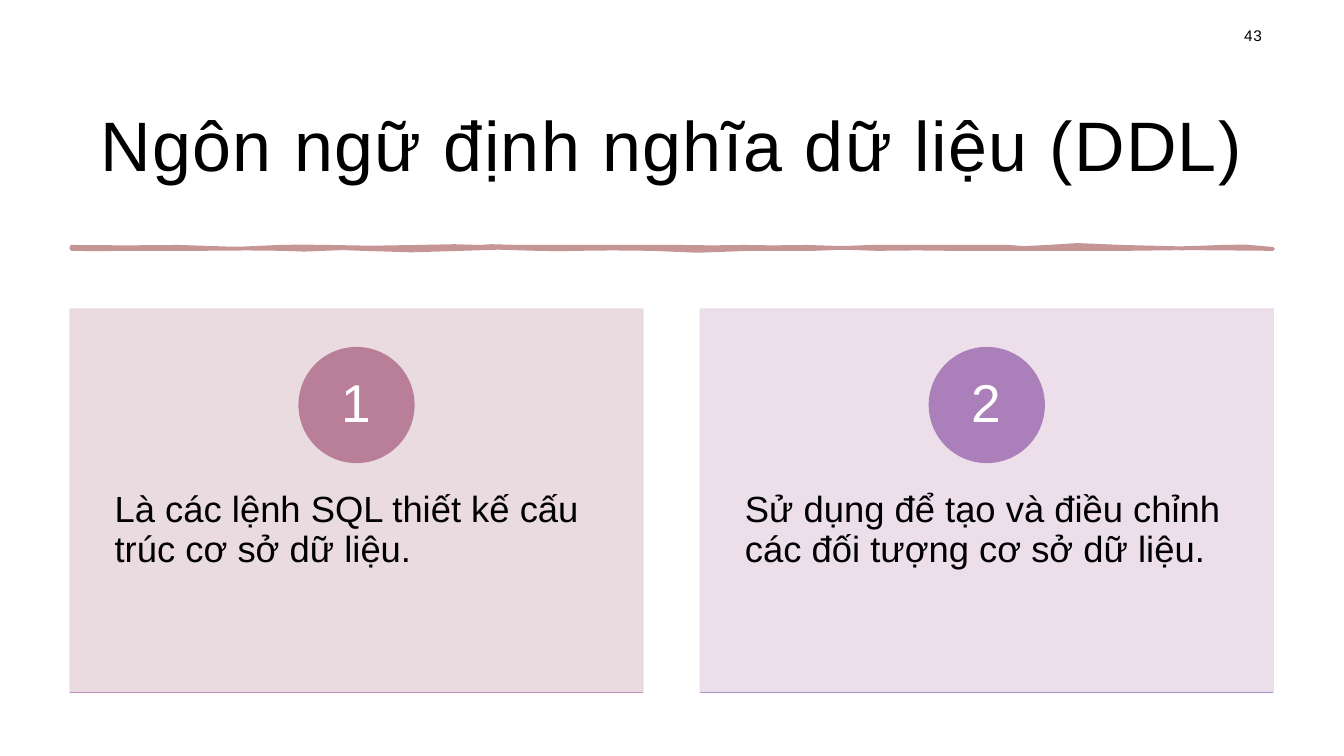
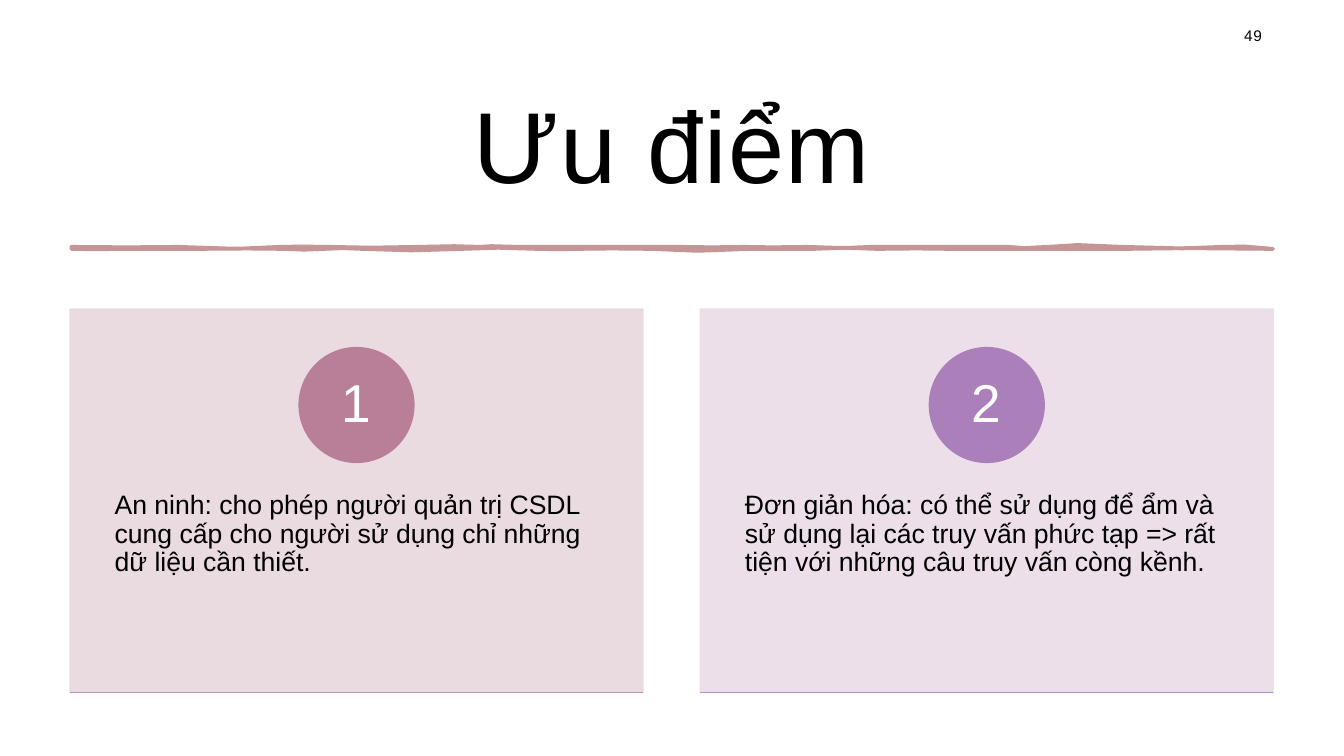
"""Build two numbered-card slides on the SQL definition language and its advantages."""
import pptx
import pptx.dml.color
import pptx.enum.shapes
import pptx.enum.text
import pptx.oxml.ns
import pptx.util
from lxml import etree

Pt = pptx.util.Pt
ALIGN = pptx.enum.text.PP_ALIGN
ANCHOR = pptx.enum.text.MSO_ANCHOR
SHAPE = pptx.enum.shapes.MSO_SHAPE
FONT = "Arial"
COLORS = {
    "backdrop": "FFFFFF", "text": "000000", "number": "FFFFFF", "stroke": "C69697",
    "card1": "E7D8DD", "badge1": "BA7F98", "rule1": "C493BD",
    "card2": "EADCE8", "badge2": "AA7FBA", "rule2": "A696C6",
}
SLIDE_BOX = (0, 0, 960, 540)
TITLE_BOX = (50, 49.7, 860, 103.7)
NUMBER_BOX = (766, 10.8, 144, 28.8)
STROKE_BOX = (51.12, 176.4, 858.24, 1.44)
CARD_BOX = (50, 220.8, 409.3, 273.8)
CARD_STEP = 450.2
BADGE_SIZE = 82
STROKE_UNIT = 0.72
STROKE_STEPS = 2
LOWER_EDGE = [
    (13, 1, 36, 0, 51), (65, 0, 95, 0, 125), (155, 1, 193, -2, 211),
    (230, 2, 232, 0, 250), (269, 0, 270, -2, 289), (308, 2, 365, 2, 387),
    (410, -2, 436, -1, 462), (487, 2, 488, -1, 501), (513, 2, 560, -3, 575),
    (590, 4, 651, 1, 673), (696, -1, 715, 1, 736), (757, -1, 775, -2, 799),
    (822, 2, 857, -3, 873), (889, 4, 929, -4, 960), (990, 4, 1007, -4, 1046),
    (1085, 4, 1119, -6, 1192),
]
UPPER_EDGE = [
    (1167, 0, 1160, -1, 1141), (1122, 1, 1089, 3, 1043), (997, -3, 994, -2, 968),
    (943, 2, 944, 1, 930), (915, 0, 889, 0, 855), (821, 1, 813, -1, 793),
    (773, 1, 760, 2, 730), (700, -2, 688, 3, 667), (647, -2, 624, 3, 605),
    (586, -3, 553, 3, 518), (484, -3, 477, 3, 444), (411, -3, 417, 1, 405),
    (393, 0, 370, -2, 343), (315, 2, 276, 0, 256), (237, 0, 217, -1, 206),
    (194, 2, 138, 3, 107), (76, -3, 34, 4, 0),
]
SLIDES = [
    ("Ngôn ngữ định nghĩa dữ liệu (DDL)", 50, "43", 26, [
        "Là các lệnh SQL thiết kế cấu trúc cơ sở dữ liệu.",
        "Sử dụng để tạo và điều chỉnh các đối tượng cơ sở dữ liệu.",
    ]),
    ("Ưu điểm", 72, "49", 19, [
        "An ninh: cho phép người quản trị CSDL cung cấp cho người sử dụng "
        "chỉ những dữ liệu cần thiết.",
        "Đơn giản hóa: có thể sử dụng để ẩm và sử dụng lại các truy vấn "
        "phức tạp => rất tiện với những câu truy vấn còng kềnh.",
    ]),
]


def rgb(name):
    """Return the named colour."""
    return pptx.dml.color.RGBColor.from_string(COLORS[name])


def in_points(box):
    """Turn a box of point values into lengths."""
    return [Pt(value) for value in box]


def paint(shape, color, weight=0):
    """Give a shape one colour for fill and any line, without a shadow."""
    shape.shadow.inherit = False
    shape.fill.solid()
    shape.fill.fore_color.rgb = rgb(color)
    if weight:
        shape.line.color.rgb = rgb(color)
        shape.line.width = Pt(weight)
    else:
        shape.line.fill.background()


def write(shape, text, size, color, align, anchor, insets, line_spacing=0.9, tracking=0):
    """Write one formatted paragraph into a shape."""
    frame = shape.text_frame
    frame.auto_size = pptx.enum.text.MSO_AUTO_SIZE.NONE
    frame.word_wrap = True
    frame.vertical_anchor = anchor
    (frame.margin_left, frame.margin_top,
     frame.margin_right, frame.margin_bottom) = in_points(insets)
    frame.text = text
    paragraph = frame.paragraphs[0]
    paragraph.alignment = align
    paragraph.line_spacing = line_spacing
    paragraph.font.name = FONT
    paragraph.font.size = Pt(size)
    paragraph.font.color.rgb = rgb(color)
    if tracking:
        paragraph.runs[0]._r.get_or_add_rPr().set("spc", str(tracking))


def add_backdrop(slide):
    """Lay a plain panel behind everything on the slide."""
    slide.background.fill.solid()
    slide.background.fill.fore_color.rgb = rgb("backdrop")
    backdrop = slide.shapes.add_shape(SHAPE.RECTANGLE, *in_points(SLIDE_BOX))
    paint(backdrop, "backdrop")
    slide.shapes.title._element.addprevious(backdrop._element)


def add_heading(slide, title, size, number):
    """Fill the title placeholder and add the slide number."""
    heading = slide.shapes.title
    heading.left, heading.top, heading.width, heading.height = in_points(TITLE_BOX)
    insets = (8.6, 8.6, 8.6, 7.2)
    write(heading, title, size, "text", ALIGN.CENTER, ANCHOR.MIDDLE, insets, 1.0, 100)
    page = slide.shapes.add_textbox(*in_points(NUMBER_BOX))
    write(page, number, 11, "text", ALIGN.RIGHT, ANCHOR.MIDDLE, insets, tracking=40)


def trace_edge(start, baseline, curves):
    """Sample cubic curves whose end points all lie on one baseline."""
    points = []
    for x1, y1, x2, y2, end in curves:
        for step in range(1, STROKE_STEPS + 1):
            t = step / STROKE_STEPS
            a, b, c, d = (1 - t) ** 3, 3 * t * (1 - t) ** 2, 3 * t * t * (1 - t), t ** 3
            points.append((a * start + b * x1 + c * x2 + d * end,
                           baseline + b * y1 + c * y2))
        start = end
    return points


def add_brush_stroke(slide, box):
    """Draw the hand-drawn line below the title."""
    left, top, width, height = box
    outline = trace_edge(0, height / STROKE_UNIT, LOWER_EDGE)
    outline += trace_edge(width / STROKE_UNIT, 0, UPPER_EDGE)
    builder = slide.shapes.build_freeform(Pt(left), Pt(top + height))
    builder.add_line_segments([(Pt(left + x * STROKE_UNIT), Pt(top + y * STROKE_UNIT))
                               for x, y in outline])
    stroke = builder.convert_to_shape()
    paint(stroke, "stroke", 2.75)
    etree.SubElement(stroke.line._get_or_add_ln(), pptx.oxml.ns.qn("a:round"))


def add_card(slide, box, number, text, size):
    """Draw a card with its numbered badge, text and bottom rule."""
    left, top, width, height = box
    card = slide.shapes.add_shape(SHAPE.RECTANGLE, *in_points(box))
    paint(card, f"card{number}", 1)
    for color in card._element.spPr.iter(pptx.oxml.ns.qn("a:srgbClr")):
        etree.SubElement(color, pptx.oxml.ns.qn("a:alpha")).set("val", "90000")

    body = slide.shapes.add_textbox(*in_points((left, top + 104.3, width, 164)))
    write(body, text, size, "text", ALIGN.LEFT, ANCHOR.TOP, (31.9, 26, 31.9, 26))

    badge = slide.shapes.add_shape(SHAPE.OVAL, *in_points(
        (left + (width - BADGE_SIZE) / 2, top + 27.5, BADGE_SIZE, BADGE_SIZE)))
    paint(badge, f"badge{number}", 1)
    write(badge, str(number), 38, "number", ALIGN.CENTER, ANCHOR.MIDDLE, (6.5, 0.7, 6.5, 0.7))

    rule = slide.shapes.add_connector(
        pptx.enum.shapes.MSO_CONNECTOR.STRAIGHT,
        *in_points((left, top + height, left + width, top + height)))
    rule.line.color.rgb = rgb(f"rule{number}")
    rule.line.width = Pt(1)
    etree.SubElement(rule._element.spPr, pptx.oxml.ns.qn("a:effectLst"))


def add_card_slide(deck, title, title_size, page, text_size, texts):
    """Add a slide with a title, a brush stroke and a row of cards."""
    slide = deck.slides.add_slide(deck.slide_layouts[5])
    add_backdrop(slide)
    add_heading(slide, title, title_size, page)
    add_brush_stroke(slide, STROKE_BOX)
    left, top, width, height = CARD_BOX
    for index, text in enumerate(texts):
        box = (left + index * CARD_STEP, top, width, height)
        add_card(slide, box, index + 1, text, text_size)


def main():
    """Build and save the deck."""
    deck = pptx.Presentation()
    deck.slide_width, deck.slide_height = in_points(SLIDE_BOX[2:])
    for content in SLIDES:
        add_card_slide(deck, *content)
    deck.save("out.pptx")


if __name__ == "__main__":
    main()
